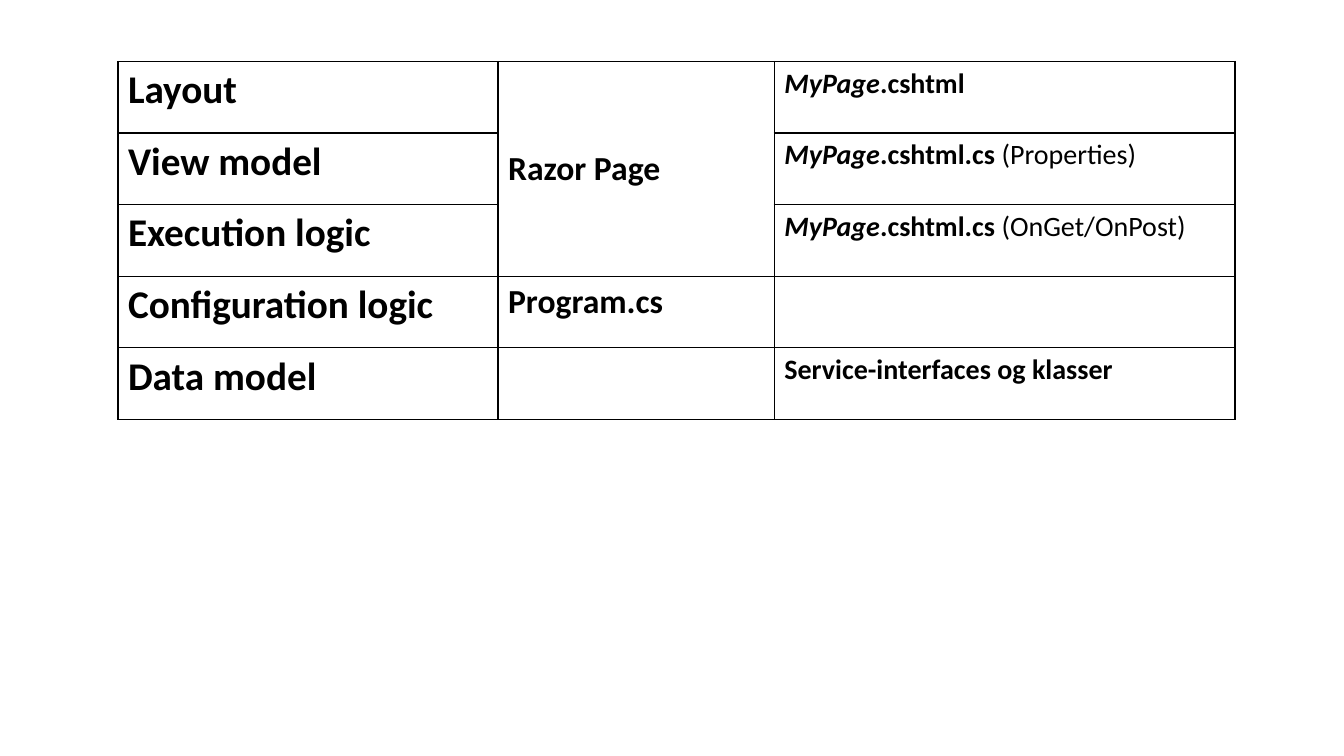
from dataclasses import dataclass

from lxml import etree
from pptx import Presentation
from pptx import util as u
from pptx.dml.color import RGBColor
from pptx.enum import text
from pptx.oxml.ns import qn

PX = 9144


@dataclass(frozen=True)
class Theme:
    font: str = "Calibri"
    ink: str = "000000"
    sizes: tuple = (28, 24, 20)
    border: int = 1


class Deck:
    """Draws styled elements on the current slide."""

    def __init__(self, theme, width, height):
        self.theme = theme
        self.prs = Presentation()
        self.prs.slide_width, self.prs.slide_height = width * PX, height * PX
        self.s = self.prs.slides.add_slide(self.prs.slide_layouts[6])

    def borders(self, cell):
        tcPr = cell._tc.get_or_add_tcPr()
        for i, side in enumerate("LRTB"):
            ln = etree.Element(qn(f"a:ln{side}"), w=str(u.Pt(self.theme.border)))
            fill = etree.SubElement(ln, qn("a:solidFill"))
            etree.SubElement(fill, qn("a:srgbClr"), val=self.theme.ink)
            tcPr.insert(i, ln)

    def cell_text(self, cell, runs, size):
        p = cell.text_frame.paragraphs[0]
        p.font.name = self.theme.font
        p.font.size = u.Pt(size)
        p.font.color.rgb = RGBColor.from_string(self.theme.ink)
        styles = {style for _, style in runs}
        if styles == {"b"}:
            p.font.bold = True
        for words, style in runs:
            r = p.add_run()
            r.text = words
            if len(styles) > 1:
                r.font.bold = "b" in style
                r.font.italic = "i" in style

    def table(self, x, y, widths, row_height, rows):
        frame = self.s.shapes.add_table(
            len(rows), len(widths), x * PX, y * PX,
            sum(widths) * PX, row_height * len(rows) * PX)
        table = frame.table
        table.first_row = table.horz_banding = False
        for column, width in zip(table.columns, widths):
            column.width = width * PX
        for i, row in enumerate(rows):
            table.rows[i].height = row_height * PX
            for j, (runs, size) in enumerate(zip(row, self.theme.sizes)):
                cell = table.cell(i, j)
                cell.fill.background()
                self.borders(cell)
                self.cell_text(cell, runs, size)
        return table


def bold(words):
    return [(words, "b")]


def page_file(ending, note=""):
    runs = [("MyPage", "bi"), (ending, "b")]
    return runs + [(note, "")] if note else runs


def main():
    deck = Deck(Theme(), 1333, 750)
    rows = [
        (bold("Layout"), bold("Razor Page"), page_file(".cshtml")),
        (bold("View model"), [], page_file(".cshtml.cs ", "(Properties)")),
        (bold("Execution logic"), [], page_file(".cshtml.cs ", "(OnGet/OnPost)")),
        (bold("Configuration logic"), bold("Program.cs"), []),
        (bold("Data model"), [], bold("Service-interfaces og klasser")),
    ]
    table = deck.table(117, 61, (377, 274, 457), 71, rows)
    razor = table.cell(0, 1)
    razor.merge(table.cell(2, 1))
    razor.vertical_anchor = text.MSO_ANCHOR.MIDDLE
    deck.prs.save("out.pptx")


if __name__ == "__main__":
    main()
